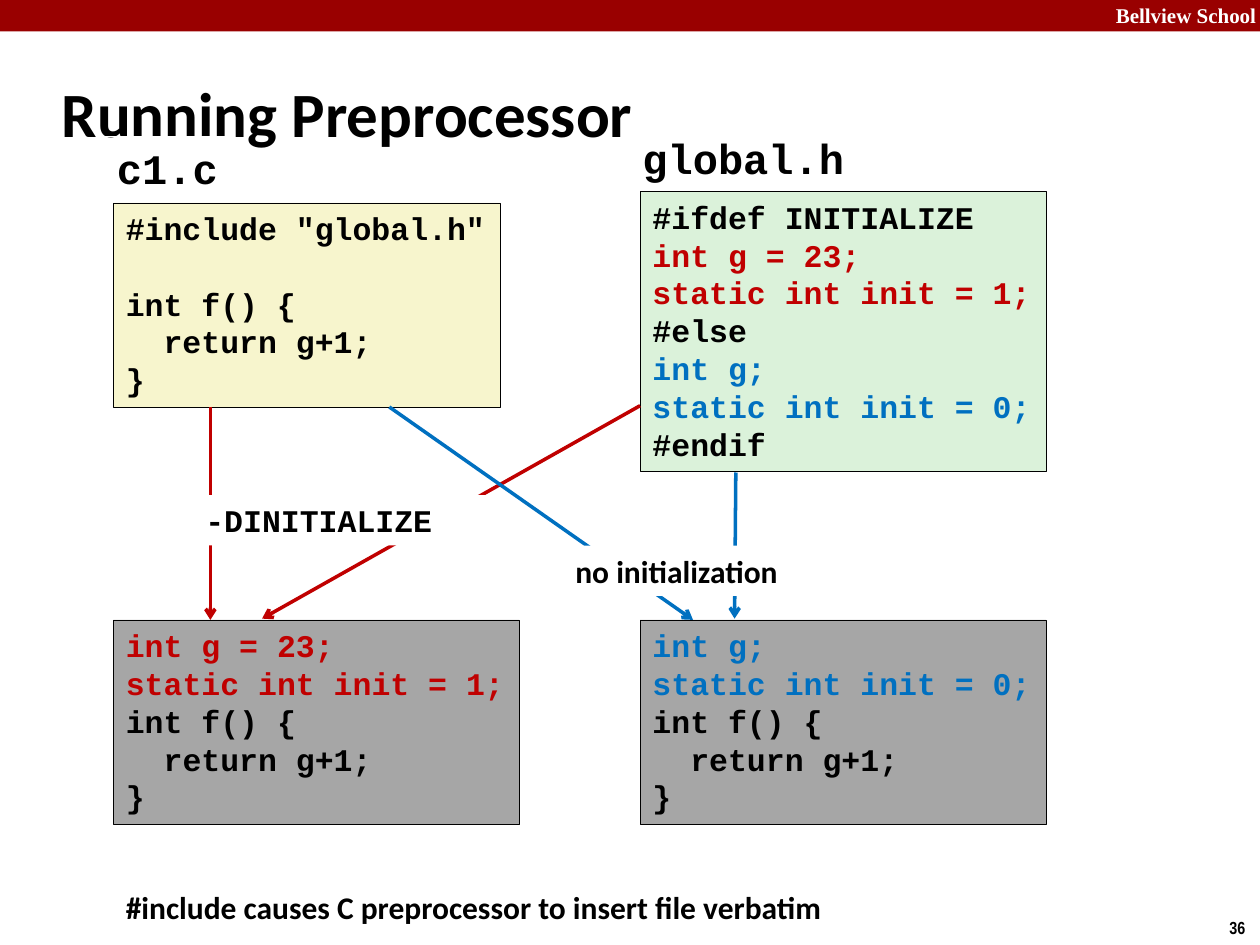
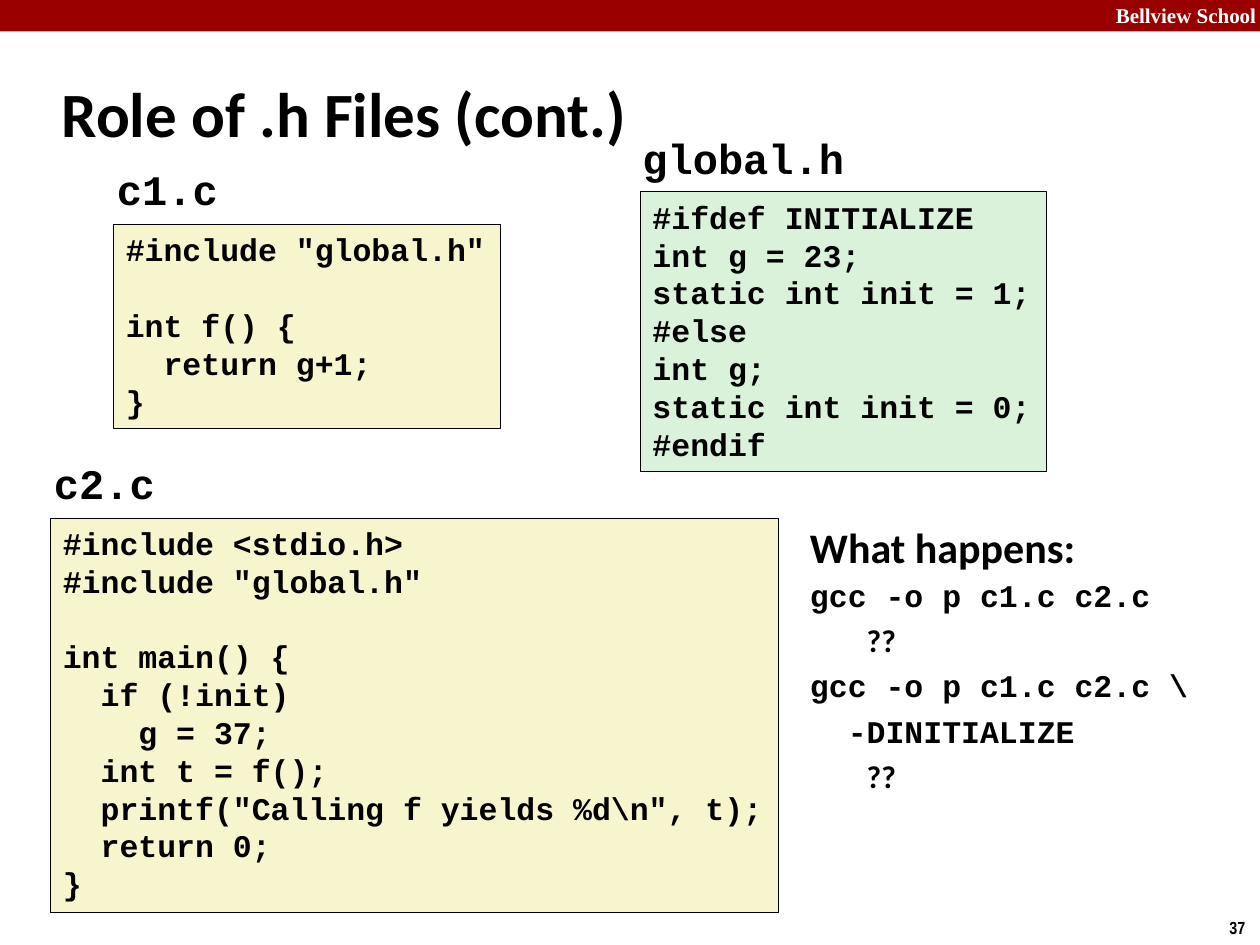
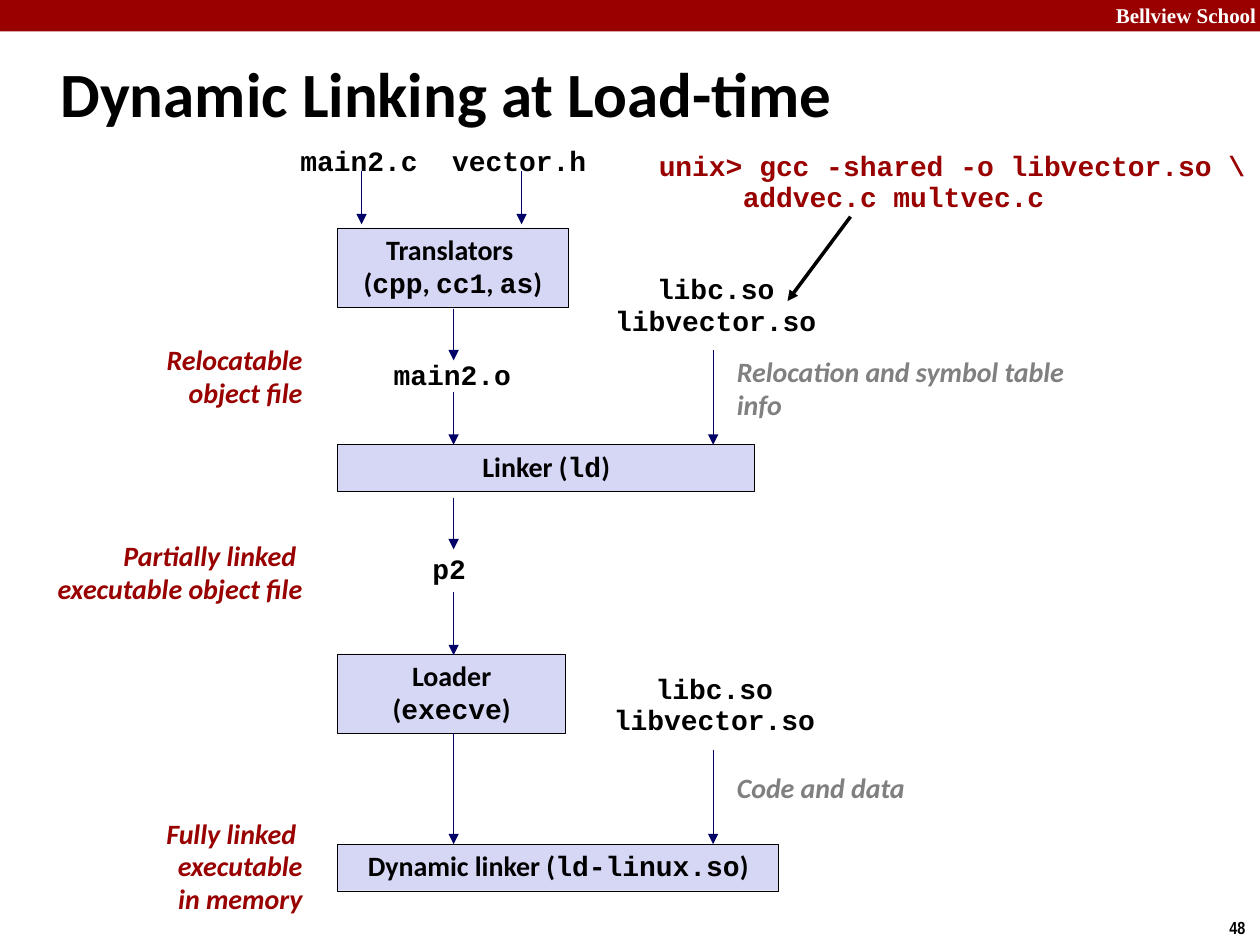
"""Build three lecture slides on preprocessing and dynamic linking in C."""
from lxml import etree
from pptx import Presentation
from pptx import util as u
from pptx.dml.color import RGBColor
from pptx.enum import shapes, text
from pptx.oxml import ns

COLORS = {
    "black": "000000", "white": "FFFFFF", "band": "990000", "navy": "000066",
    "red": "C00000", "blue": "0070C0", "gray": "808080", "cream": "F7F5CD",
    "mint": "DBF2DA", "steel": "A6A6A6", "lilac": "D6D6F5",
}
SANS, MONO = "Calibri", "Courier New"
LEFT, CENTER, RIGHT = text.PP_ALIGN.LEFT, text.PP_ALIGN.CENTER, text.PP_ALIGN.RIGHT
CHAR_WIDTH, LINE_HEIGHT = 0.6, 1.2

INIT_ON = ["int g = 23;", "static int init = 1;"]
INIT_OFF = ["int g;", "static int init = 0;"]
FUNCTION_F = ["int f() {", "  return g+1;", "}"]
C1_CODE = ['#include "global.h"', "", *FUNCTION_F]
GLOBAL_CODE = ["#ifdef INITIALIZE", *INIT_ON, "#else", *INIT_OFF, "#endif"]
C2_CODE = [
    "#include <stdio.h>", '#include "global.h"', "", "int main() {",
    "  if (!init)", "    g = 37;", "  int t = f();",
    '  printf("Calling f yields %d\\n", t);', "  return 0;", "}",
]
TINTS = {**dict.fromkeys(INIT_ON, "red"), **dict.fromkeys(INIT_OFF, "blue")}


def rgb(name):
    """Return the colour that has this name."""
    return RGBColor.from_string(COLORS[name])


def inches(values):
    """Turn plain numbers into lengths."""
    return [u.Inches(value) for value in values]


def add_span(para, words, font=SANS, size=18, color="black", italic=False):
    """Append one bold run to a paragraph."""
    span = para.add_run()
    span.text = words
    span.font.name, span.font.size = font, u.Pt(size)
    span.font.bold, span.font.italic = True, italic
    span.font.color.rgb = rgb(color)


def write(shape, lines, font=SANS, size=18, color="black", italic=False, align=LEFT,
          spacing=1.0, before=0, wrap=True, tints=None):
    """Fill a shape with lines; bars switch to code font, leading spaces indent."""
    frame = shape.text_frame
    frame.word_wrap = wrap
    frame.auto_size = text.MSO_AUTO_SIZE.NONE if wrap else text.MSO_AUTO_SIZE.SHAPE_TO_FIT_TEXT
    frame.vertical_anchor = text.MSO_ANCHOR.TOP
    para, gap = frame.paragraphs[0], before
    for line in lines:
        if not line:
            gap += size * LINE_HEIGHT
            continue
        if para.runs:
            para = frame.add_paragraph()
        para.alignment, para.line_spacing = align, spacing
        para.space_before = u.Pt(gap)
        words = line.lstrip(" ")
        indent = (len(line) - len(words)) * CHAR_WIDTH * size
        if indent:
            para._p.get_or_add_pPr().set("marL", str(int(u.Pt(indent))))
        for index, part in enumerate(words.split("|")):
            add_span(para, part, MONO if index % 2 else font, size,
                     (tints or {}).get(line, color), italic)
        gap = before


def add_box(page, at, lines=(), fill=None, line=None, width=0.25, **style):
    """Draw a rectangle with optional fill, outline and text."""
    box = page.shapes.add_shape(shapes.MSO_SHAPE.RECTANGLE, *inches(at))
    box.shadow.inherit = False
    if fill:
        box.fill.solid()
        box.fill.fore_color.rgb = rgb(fill)
    else:
        box.fill.background()
    if line:
        box.line.color.rgb = rgb(line)
        box.line.width = u.Pt(width)
    else:
        box.line.fill.background()
    if lines:
        write(box, lines, **style)


def add_label(page, at, lines, **style):
    """Place plain text."""
    write(page.shapes.add_textbox(*inches(at)), lines, **style)


def add_code(page, at, lines, fill, tints=None):
    """Draw a framed code listing."""
    add_box(page, at, lines, fill, "black", font=MONO, wrap=False, tints=tints)


def add_file_name(page, left, top, name, width=1.01):
    """Write the file name above a listing."""
    add_box(page, (left, top, width, 0.5), [name], line="white", font=MONO, size=24, wrap=False)


def add_arrow(page, start, end, color="navy", width=0.26, head="triangle"):
    """Draw a straight line that ends in an arrowhead."""
    arrow = page.shapes.add_connector(
        shapes.MSO_CONNECTOR.STRAIGHT, *inches((*start, *end)))
    arrow.line.color.rgb = rgb(color)
    arrow.line.width = u.Pt(width)
    etree.SubElement(arrow.line._get_or_add_ln(), ns.qn("a:tailEnd"), type=head)
    etree.SubElement(arrow._element.spPr, ns.qn("a:effectLst"))


def add_page(deck, title, number, at=(0.39, 0.48, 8.3, 0.83)):
    """Add a slide with band, page number and title."""
    page = deck.slides.add_slide(deck.slide_layouts[5])
    add_box(page, (0, 0, 10, 0.25), fill="band")
    add_label(page, (8.64, -0.03, 1.43, 0.3), ["Bellview School"],
              font="Times New Roman", size=12, color="white", align=RIGHT)
    add_label(page, (9.66, 7.23, 0.34, 0.27), [str(number)],
              font="Arial Narrow", size=10, wrap=False)
    heading = page.shapes.title
    heading.left, heading.top, heading.width, heading.height = inches(at)
    write(heading, [title], size=36)
    heading.text_frame.vertical_anchor = text.MSO_ANCHOR.MIDDLE
    return page


def add_sources(page, top, tints=None):
    """Show c1.c and global.h side by side."""
    add_code(page, (0.9, top, 3.07, 1.62), C1_CODE, "cream")
    add_file_name(page, 0.83, top - 0.53, "c1.c")
    add_file_name(page, 5, 1, "global.h", 1.81)
    add_code(page, (5.08, 1.52, 3.22, 2.22), GLOBAL_CODE, "mint", tints)


def build_preprocessor(deck):
    """Show how the flag selects the preprocessed code."""
    page = add_page(deck, "Running Preprocessor", 36)
    add_sources(page, 1.61, TINTS)
    for left, declarations in ((0.9, INIT_ON), (5.08, INIT_OFF)):
        add_code(page, (left, 4.92, 3.22, 1.62), declarations + FUNCTION_F, "steel", TINTS)
    for start, end, color in (
        ((1.67, 3.23), (1.67, 4.92), "red"),
        ((5.08, 3.22), (2.08, 4.91), "red"),
        ((3.09, 3.23), (5.5, 4.92), "blue"),
        ((5.84, 3.75), (5.83, 4.91), "blue"),
    ):
        add_arrow(page, start, end, color, 2, "arrow")
    for left, top, words, font in ((1.15, 3.93, "-DINITIALIZE", MONO),
                                   (3.99, 4.33, "no initialization", SANS)):
        add_box(page, (left, top, 2.76, 0.4), [words], "white", font=font, align=CENTER)
    add_label(page, (0.9, 7, 5.77, 0.4),
              ["#include causes C preprocessor to insert file verbatim"], wrap=False)


def build_header_files(deck):
    """Show both sources and ask what each build does."""
    page = add_page(deck, "Role of .h Files (cont.)", 37)
    add_label(page, (6.33, 4.09, 3.42, 0.5), ["What happens:"], size=24, before=5.8)
    commands = ["|gcc -o p c1.c c2.c|", "   ??", "|gcc -o p c1.c c2.c \\|",
                "  |-DINITIALIZE|", "   ??"]
    add_label(page, (6.33, 4.52, 3.42, 2.41), commands, before=4.3)
    add_sources(page, 1.78)
    add_code(page, (0.4, 4.11, 5.78, 3.13), C2_CODE, "cream")
    add_file_name(page, 0.33, 3.58, "c2.c")


def build_dynamic_linking(deck):
    """Draw the path from source files to the program in memory."""
    page = add_page(deck, "Dynamic Linking at Load-time", 48, (0.38, 0.31, 9.53, 0.85))
    for top, width, height, lines in (
        (1.81, 1.83, 0.63, ["Translators ", "(|cpp|, |cc1|, |as|)"]),
        (3.53, 3.31, 0.37, ["Linker (|ld|)"]),
        (5.19, 1.81, 0.63, ["Loader (|execve|)"]),
        (6.7, 3.5, 0.37, ["Dynamic linker (|ld-linux.so|)"]),
    ):
        add_box(page, (2.68, top, width, height), lines, "lilac", "black", 0.26,
                size=16, align=CENTER, spacing=0.98)
    libraries = ["libc.so", "libvector.so"]
    for at, lines in (
        ((2.28, 1.11, 1.14, 0.36), ["main2.c"]),
        ((3.48, 1.11, 1.28, 0.36), ["vector.h"]),
        ((3.02, 2.81, 1.14, 0.36), ["main2.o"]),
        ((3.33, 4.35, 0.47, 0.36), ["p2"]),
        ((4.77, 2.13, 1.82, 0.61), libraries),
        ((4.76, 5.3, 1.82, 0.61), libraries),
    ):
        add_label(page, at, lines, font=MONO, size=16, align=CENTER, spacing=0.94, wrap=False)
    for at, lines, color, align in (
        ((5.75, 2.78, 2.85, 0.63), ["Relocation and symbol table info"], "gray", LEFT),
        ((5.75, 6.08, 1.94, 0.37), ["Code and data"], "gray", LEFT),
        ((1, 2.68, 1.5, 0.63), ["Relocatable", "object file"], "band", RIGHT),
        ((-0.25, 4.24, 2.75, 0.63), ["Partially linked ", "executable object file"],
         "band", RIGHT),
        ((0.58, 6.44, 1.92, 0.89), ["Fully linked ", "executable", "in memory"],
         "band", RIGHT),
    ):
        add_label(page, at, lines, size=16, color=color, italic=True, align=align, spacing=0.98)
    for x, top, bottom in (
        (2.87, 1.36, 1.78), (4.14, 1.36, 1.78), (3.6, 2.45, 2.86), (3.6, 3.11, 3.53),
        (3.6, 3.95, 4.36), (3.6, 4.7, 5.2), (3.6, 5.82, 6.7), (5.66, 2.78, 3.53),
        (5.66, 5.95, 6.7),
    ):
        add_arrow(page, (x, top), (x, bottom))
    add_label(page, (5.13, 1.15, 4.92, 0.61),
              ["unix> gcc -shared -o libvector.so \\", "     addvec.c multvec.c"],
              font=MONO, size=16, color="band", spacing=0.94, wrap=False)
    add_arrow(page, (6.75, 1.72), (6.25, 2.39), "black", 2)


def main():
    """Build and save the deck."""
    deck = Presentation()
    deck.slide_width, deck.slide_height = inches((10, 7.5))
    build_preprocessor(deck)
    build_header_files(deck)
    build_dynamic_linking(deck)
    deck.save("out.pptx")


main()
